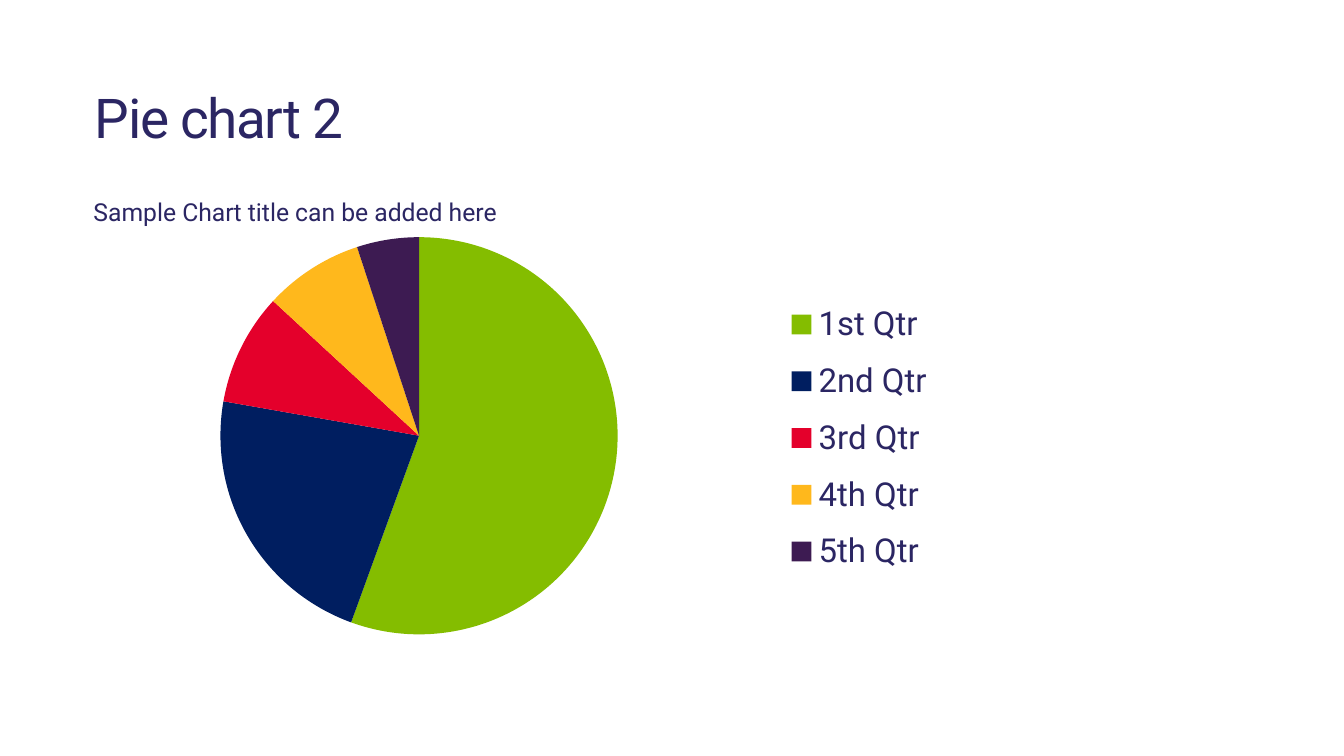
from dataclasses import dataclass

from lxml.etree import SubElement
from pptx import Presentation
from pptx.chart.chart import Chart
from pptx.chart.data import CategoryChartData
from pptx.dml.color import RGBColor
from pptx.enum.chart import XL_CHART_TYPE as ChartType, XL_LEGEND_POSITION as LegendPosition
from pptx.enum.text import MSO_ANCHOR as Anchor, MSO_AUTO_SIZE as AutoSize, PP_ALIGN as Align
from pptx.oxml.ns import qn
from pptx.text.text import Font, TextFrame
from pptx.util import Inches, Pt

INDIGO = RGBColor(0x2B, 0x26, 0x63)
GREEN = RGBColor(0x84, 0xBD, 0x00)
NAVY = RGBColor(0x00, 0x1E, 0x60)
RED = RGBColor(0xE4, 0x00, 0x2B)
AMBER = RGBColor(0xFF, 0xB8, 0x1C)
PURPLE = RGBColor(0x3D, 0x1B, 0x52)
FONT_NAME = "Roboto"


@dataclass(frozen=True)
class Quarter:
    label: str
    value: int
    color: RGBColor


QUARTERS = [
    Quarter("1st Qtr", 55, GREEN),
    Quarter("2nd Qtr", 22, NAVY),
    Quarter("3rd Qtr", 9, RED),
    Quarter("4th Qtr", 8, AMBER),
    Quarter("5th Qtr", 5, PURPLE),
]


def format_font(font: Font, size: float) -> None:
    font.name = FONT_NAME
    font.size = Pt(size)
    font.bold = False
    font.color.rgb = INDIGO


def write_text(frame: TextFrame, text: str, *, size: float, align: Align = Align.LEFT,
               line_spacing: float = 1.0, character_spacing: float = 0) -> None:
    paragraph = frame.paragraphs[0]
    paragraph.alignment = align
    paragraph.line_spacing = line_spacing
    run = paragraph.add_run()
    run.text = text
    format_font(run.font, size)
    if character_spacing:
        run.font._element.set("spc", str(round(character_spacing * 100)))


def place_part(chart: Chart, part: str, *, after: str = "", inner: bool = False,
               **fractions: float) -> None:
    """Lay out a chart part by fractions (x, y, w, h) of the chart's size."""
    element = next(chart.element.iter(qn(part)))
    for old_layout in element.findall(qn("c:layout")):
        element.remove(old_layout)
    layout = SubElement(element, qn("c:layout"))
    element.insert(element.index(element.find(qn(after))) + 1 if after else 0, layout)
    manual = SubElement(layout, qn("c:manualLayout"))
    if inner:
        SubElement(manual, qn("c:layoutTarget"), val="inner")
    for axis in ("x", "y"):
        SubElement(manual, qn(f"c:{axis}Mode"), val="edge")
    for name, fraction in fractions.items():
        SubElement(manual, qn(f"c:{name}"), val=str(fraction))


def add_title(slide) -> None:
    title = slide.shapes.title
    title.left, title.top = Inches(0.8), Inches(0.82)
    title.width, title.height = Inches(13), Inches(1)
    frame = title.text_frame
    frame.auto_size = AutoSize.NONE
    frame.word_wrap = True
    frame.vertical_anchor = Anchor.TOP
    frame.margin_left = frame.margin_right = Inches(0.16)
    frame.margin_top = frame.margin_bottom = Inches(0.1)
    write_text(frame, "Pie chart 2", size=40, line_spacing=0.9, character_spacing=-1)


def add_quarter_pie(slide) -> None:
    data = CategoryChartData()
    data.categories = [quarter.label for quarter in QUARTERS]
    data.add_series("Series 1", [quarter.value for quarter in QUARTERS])
    chart = slide.shapes.add_chart(ChartType.PIE, Inches(0.8), Inches(1.8),
                                   Inches(10.12), Inches(4.62), data).chart
    format_font(chart.font, 10)

    chart.has_title = True
    write_text(chart.chart_title.text_frame, "Sample Chart title can be added here", size=18)
    chart.chart_title.include_in_layout = False
    place_part(chart, "c:title", after="c:tx", x=0.01, y=0.03)

    chart.has_legend = True
    chart.legend.position = LegendPosition.RIGHT
    chart.legend.include_in_layout = False
    format_font(chart.legend.font, 24)
    place_part(chart, "c:legend", after="c:legendPos", x=0.7, y=0.24, w=0.16, h=0.66)

    plot = chart.plots[0]
    plot.vary_by_categories = True
    place_part(chart, "c:plotArea", inner=True, x=0.05, y=0.13, w=0.58, h=0.87)
    for index, quarter in enumerate(QUARTERS):
        point_format = plot.series[0].points[index].format
        point_format.fill.solid()
        point_format.fill.fore_color.rgb = quarter.color
        point_format.line.fill.background()


def main() -> None:
    presentation = Presentation()
    presentation.slide_width = Inches(13.6)
    presentation.slide_height = Inches(7.65)
    slide = presentation.slides.add_slide(presentation.slide_layouts.get_by_name("Title Only"))
    add_title(slide)
    add_quarter_pie(slide)
    presentation.save("out.pptx")


if __name__ == "__main__":
    main()
